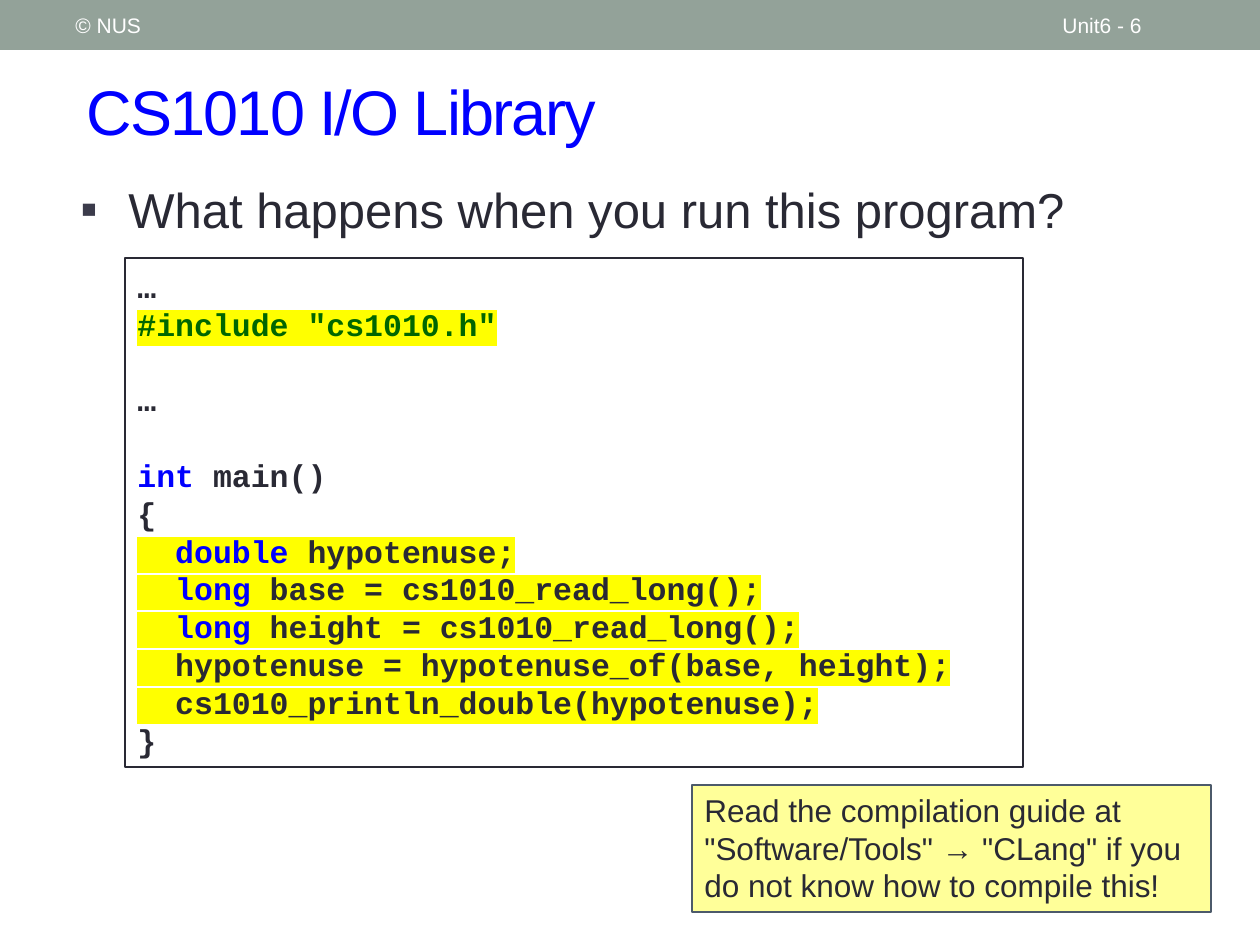
from dataclasses import dataclass

from lxml.etree import SubElement
from pptx import Presentation
from pptx.dml.color import RGBColor
from pptx.enum.shapes import MSO_SHAPE as Shape
from pptx.enum.text import MSO_ANCHOR as Anchor
from pptx.oxml import parse_xml
from pptx.oxml.ns import nsdecls, qn
from pptx.util import Pt

PX = 914400 / 126
INK, BLUE, GREEN, WHITE = "292934", "0000FF", "006600", "FFFFFF"
YELLOW = "FFFF00"


@dataclass
class Box:
    left: int
    top: int
    width: int
    height: int

    def emu(self) -> list[int]:
        return [round(v * PX) for v in (self.left, self.top, self.width, self.height)]


@dataclass
class Line:
    """A line of code: an optional coloured keyword between two plain parts."""
    indent: str = ""
    keyword: str = ""
    rest: str = ""
    marked: bool = False
    blank_before: bool = False
    color: str = INK


def rgb(color: str) -> RGBColor:
    return RGBColor.from_string(color)


def add_panel(slide, box: Box, fill: str, line: str = "", weight: float = 1):
    panel = slide.shapes.add_shape(Shape.RECTANGLE, *box.emu())
    panel.shadow.inherit = False
    panel.fill.solid()
    panel.fill.fore_color.rgb = rgb(fill)
    if line:
        panel.line.color.rgb = rgb(line)
        panel.line.width = Pt(weight)
    else:
        panel.line.fill.background()
    return panel.text_frame


def add_frame(slide, box: Box):
    return slide.shapes.add_textbox(*box.emu()).text_frame


def setup(frame, anchor=Anchor.TOP):
    frame.word_wrap = True
    frame.vertical_anchor = anchor
    frame.paragraphs[0].alignment = 1
    return frame.paragraphs[0]


def add_text(paragraph, text: str, *, size: int, color: str = INK, font: str = "Arial",
             bold: bool = False, highlight: str = "", spacing: int = 0) -> None:
    run = paragraph.add_run()
    run.text = text
    run.font.size = Pt(size)
    run.font.bold = bold
    run.font.color.rgb = rgb(color)
    properties = run.font._element
    if highlight:
        mark = parse_xml(f'<a:highlight {nsdecls("a")}><a:srgbClr val="{highlight}"/></a:highlight>')
        properties.find(qn("a:solidFill")).addnext(mark)
    if spacing:
        properties.set("spc", str(spacing))
    run.font.name = font


def add_bullet(paragraph, symbol: str, color: str, indent: int) -> None:
    properties = paragraph._p.get_or_add_pPr()
    properties.set("marL", str(round(indent * PX)))
    properties.set("indent", str(-round(indent * PX)))
    bullet_color = SubElement(properties, qn("a:buClr"))
    SubElement(bullet_color, qn("a:srgbClr")).set("val", color)
    SubElement(properties, qn("a:buFont")).set("typeface", "Arial")
    SubElement(properties, qn("a:buChar")).set("char", symbol)


def add_code(frame, lines: list[Line], pitch: float) -> None:
    paragraph = setup(frame)
    for number, line in enumerate(lines):
        if number:
            paragraph = frame.add_paragraph()
            paragraph.alignment = 1
        paragraph.line_spacing = Pt(pitch)
        if line.blank_before:
            paragraph.space_before = Pt(pitch)
        parts = (line.indent, line.color), (line.keyword, BLUE), (line.rest, line.color)
        for text, color in parts:
            if text:
                add_text(paragraph, text, size=18, color=color, font="Courier New",
                         bold=True, highlight=YELLOW if line.marked else "")


PROGRAM = [
    Line(rest="…"),
    Line(rest='#include "cs1010.h"', marked=True, color=GREEN),
    Line(rest="…", blank_before=True),
    Line(keyword="int", rest=" main()", blank_before=True),
    Line(rest="{"),
    Line("  ", "double", " hypotenuse;", marked=True),
    Line("  ", "long", " base = cs1010_read_long();", marked=True),
    Line("  ", "long", " height = cs1010_read_long();", marked=True),
    Line("  ", rest="hypotenuse = hypotenuse_of(base, height);", marked=True),
    Line("  ", rest="cs1010_println_double(hypotenuse);", marked=True),
    Line(rest="}"),
]


def main() -> None:
    deck = Presentation()
    deck.slide_width, deck.slide_height = round(1260 * PX), round(945 * PX)
    slide = deck.slides.add_slide(deck.slide_layouts[6])

    # Header band
    add_panel(slide, Box(0, 0, 1260, 50), "93A299")
    for label, box in (("© NUS", Box(63, 3, 400, 45)), ("Unit6 - 6", Box(1050, 3, 147, 45))):
        add_text(setup(add_frame(slide, box), Anchor.MIDDLE), label, size=12, color=WHITE)

    # Title
    title = setup(add_frame(slide, Box(74, 63, 1123, 95)), Anchor.MIDDLE)
    add_text(title, "CS1010 I/O Library", size=36, color=BLUE, spacing=-100)

    # Question
    question = setup(add_frame(slide, Box(68, 173, 1087, 70)))
    add_bullet(question, "▪", "3B3B4B", 48)
    add_text(question, "What happens when you run this program?", size=28)

    # Program
    program = add_panel(slide, Box(125, 258, 898, 509), WHITE, INK, 1.5)
    program.margin_top = round(9 * PX)
    add_code(program, PROGRAM, pitch=21.6)

    # Compilation note
    note = setup(add_panel(slide, Box(692, 785, 519, 127), "FFFF99", "4C5A6A"))
    note.line_spacing = Pt(21.5)
    add_text(note, 'Read the compilation guide at "Software/Tools" → "CLang" '
                   "if you do not know how to compile this!", size=18)

    deck.save("out.pptx")


if __name__ == "__main__":
    main()
